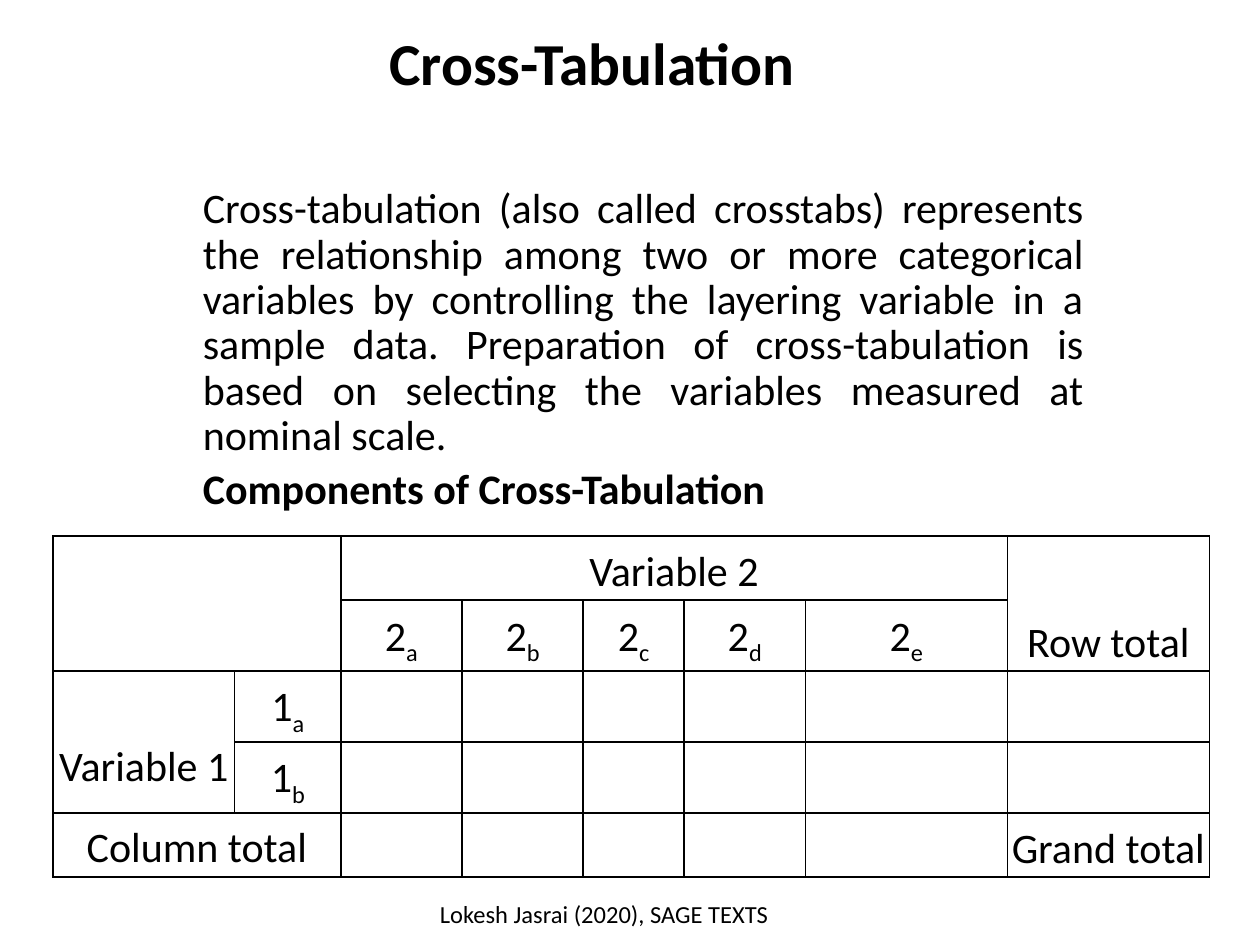
from dataclasses import dataclass

from lxml.etree import SubElement
from pptx import Presentation
from pptx.dml.color import RGBColor
from pptx.enum.text import MSO_ANCHOR as Anchor, PP_ALIGN as Align
from pptx.oxml.ns import qn
from pptx.util import Inches, Pt

WIDTH, HEIGHT = Inches(10), Inches(7.5)


@dataclass(frozen=True)
class Theme:
    """Colours, font and type sizes of the slide."""
    ink: str = "000000"
    paper: str = "FFFFFF"
    font: str = "Calibri"
    title: float = 34
    body: float = 24
    footer: float = 14
    rule: float = 1


THEME = Theme()
COLUMNS = (18, 10.5, 12, 12, 10, 12, 20, 20)
ROWS = (0.51, 0.56, 0.56, 0.56, 0.51)
MERGES = (((0, 0), (1, 1)), ((0, 2), (0, 6)), ((0, 7), (1, 7)),
          ((2, 0), (3, 0)), ((4, 0), (4, 1)))
LABELS = {
    (0, 2): "Variable 2", (0, 7): "Row total",
    **{(1, 2 + i): f"2_{letter}" for i, letter in enumerate("abcde")},
    (2, 0): "Variable 1", (2, 1): "1_a", (3, 1): "1_b",
    (4, 0): "Column total", (4, 7): "Grand total",
}
DEFINITION = (
    "Cross-tabulation (also called crosstabs) represents the relationship among two or "
    "more categorical variables by controlling the layering variable in a sample data. "
    "Preparation of cross-tabulation is based on selecting the variables measured at "
    "nominal scale.")


def share(left, top, width, height):
    """Turn shares of the slide's size into a box."""
    return (int(WIDTH * left), int(HEIGHT * top),
            int(WIDTH * width), int(HEIGHT * height))


def write(para, text, size=THEME.body, bold=False, align=Align.CENTER,
          line=1.0, before=0):
    """Fill a paragraph; an underscore in the text starts a subscript."""
    para.alignment = align
    para.line_spacing = line
    para.space_before = Pt(before)
    for index, part in enumerate(text.split("_")):
        span = para.add_run()
        span.text = part
        span.font.name = THEME.font
        span.font.size = Pt(size)
        span.font.bold = bold
        span.font.color.rgb = RGBColor.from_string(THEME.ink)
        if index:
            span._r.get_or_add_rPr().set("baseline", "-25000")


def add_frame(page, box):
    """Add a wrapping text box and return its text frame."""
    frame = page.shapes.add_textbox(*box).text_frame
    frame.word_wrap = True
    return frame


def add_title(page, box):
    """Place the slide title."""
    write(add_frame(page, box).paragraphs[0], "Cross-Tabulation",
          size=THEME.title, bold=True, line=0.9)


def add_body(page, box):
    """Place the definition and the heading of the table."""
    frame = add_frame(page, box)
    frame.margin_left = Inches(0.18)
    write(frame.paragraphs[0], DEFINITION, align=Align.JUSTIFY, line=0.9)
    write(frame.add_paragraph(), "Components of Cross-Tabulation",
          bold=True, align=Align.JUSTIFY, line=0.9, before=5)


def rule_cell(cell):
    """Draw all four borders of a cell."""
    cell.fill.solid()
    cell.fill.fore_color.rgb = RGBColor.from_string(THEME.paper)
    properties = cell._tc.get_or_add_tcPr()
    for index, side in enumerate(("lnL", "lnR", "lnT", "lnB")):
        line = properties.makeelement(qn(f"a:{side}"), {"w": str(Pt(THEME.rule))})
        properties.insert(index, line)
        fill = SubElement(line, qn("a:solidFill"))
        SubElement(fill, qn("a:srgbClr"), val=THEME.ink)


def add_crosstab(page, box):
    """Place the table with its merged headings and totals."""
    left, top, width, height = box
    table = page.shapes.add_table(len(ROWS), len(COLUMNS), *box).table
    table.first_row = table.horz_banding = False
    for column, weight in zip(table.columns, COLUMNS):
        column.width = int(width * weight / sum(COLUMNS))
    for row, weight in zip(table.rows, ROWS):
        row.height = int(height * weight / sum(ROWS))
    for cell in table.iter_cells():
        rule_cell(cell)
    for first, last in MERGES:
        table.cell(*first).merge(table.cell(*last))
    for place, label in LABELS.items():
        cell = table.cell(*place)
        cell.margin_left = cell.margin_right = Inches(0.02)
        cell.margin_top = cell.margin_bottom = Inches(0.02)
        cell.vertical_anchor = Anchor.BOTTOM if place[0] < 2 else Anchor.TOP
        write(cell.text_frame.paragraphs[0], label, line=1.15)
    row_heading = table.cell(2, 0)
    row_heading.vertical_anchor = Anchor.BOTTOM
    row_heading.margin_bottom = Inches(0.16)
    table.cell(4, 7).vertical_anchor = Anchor.MIDDLE


def add_footer(page, box):
    """Place the source line."""
    write(add_frame(page, box).paragraphs[0],
          "Lokesh Jasrai (2020), SAGE TEXTS", size=THEME.footer)


def main():
    """Build and save the deck."""
    deck = Presentation()
    deck.slide_width, deck.slide_height = WIDTH, HEIGHT
    page = deck.slides.add_slide(deck.slide_layouts[6])
    add_title(page, share(0.25, 0.03, 0.44, 0.09))
    add_body(page, share(0.143, 0.192, 0.727, 0.372))
    add_crosstab(page, share(0.042, 0.567, 0.918, 0.36))
    add_footer(page, share(0.301, 0.945, 0.357, 0.053))
    deck.save("out.pptx")


if __name__ == "__main__":
    main()
